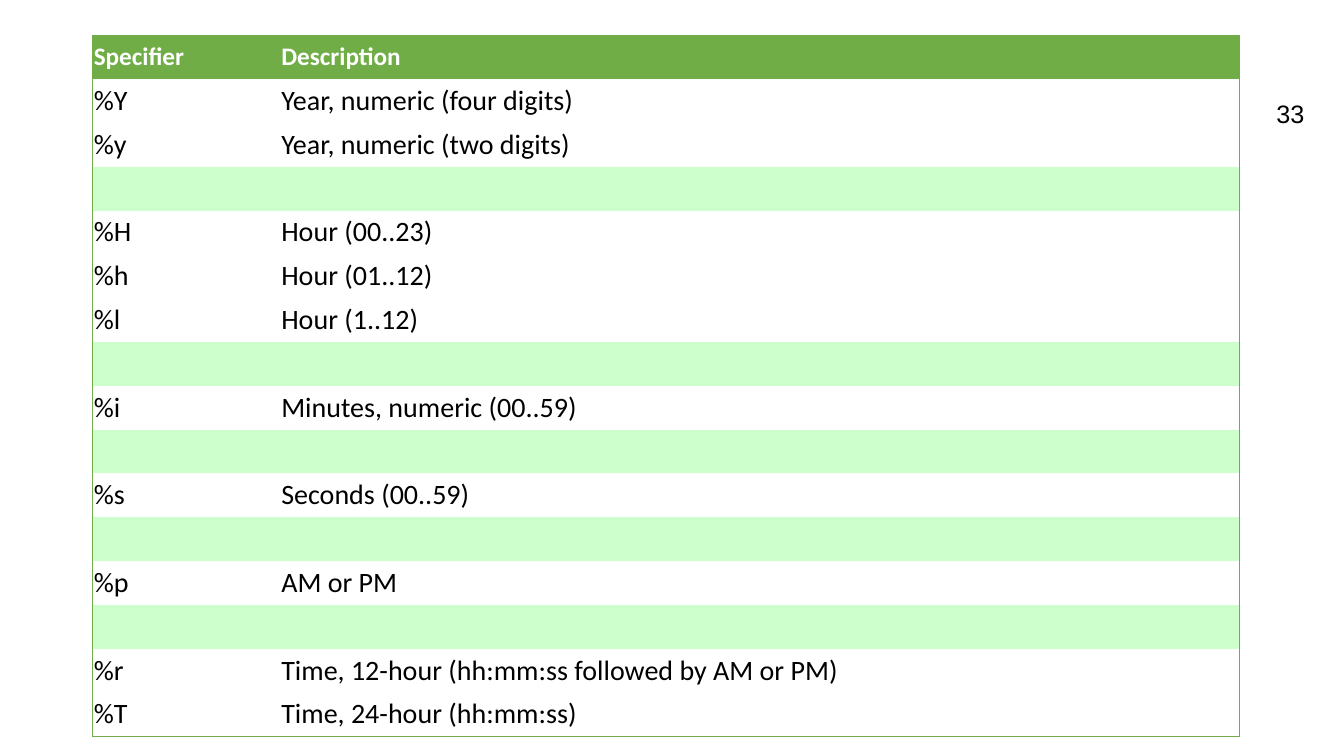
import pptx
import pptx.dml.color
import pptx.enum.text
import pptx.oxml
import pptx.oxml.ns
import pptx.util

EMU_PER_PX = 9144  # 100 px to the inch
BLACK = pptx.dml.color.RGBColor(0x00, 0x00, 0x00)
WHITE = pptx.dml.color.RGBColor(0xFF, 0xFF, 0xFF)
GREEN = pptx.dml.color.RGBColor(0x70, 0xAD, 0x47)
PALE_GREEN = pptx.dml.color.RGBColor(0xCC, 0xFF, 0xCC)

HEADER = ("Specifier", "Description")
# Each group is set apart from the next by a pale green row
GROUPS = [
    [("%Y", "Year, numeric (four digits)"),
     ("%y", "Year, numeric (two digits)")],
    [("%H", "Hour (00..23)"),
     ("%h", "Hour (01..12)"),
     ("%l", "Hour (1..12)")],
    [("%i", "Minutes, numeric (00..59)")],
    [("%s", "Seconds (00..59)")],
    [("%p", "AM or PM")],
    [("%r", "Time, 12-hour (hh:mm:ss followed by AM or PM)"),
     ("%T", "Time, 24-hour (hh:mm:ss)")],
]
SEPARATOR = ("", "")


def px(length):
    return pptx.util.Emu(length * EMU_PER_PX)


class SlideBuilder:
    table_font = "Calibri"
    number_font = "Arial"
    border_width = pptx.util.Pt(0.5)
    cell_inset = px(1)

    def __init__(self, slide):
        self.slide = slide

    def style(self, paragraph, name, size, color, bold=False):
        font = paragraph.font
        font.name, font.size, font.bold = name, pptx.util.Pt(size), bold
        font.color.rgb = color

    def page_number(self, text, left, top, width, height):
        number = self.slide.shapes.add_textbox(px(left), px(top), px(width), px(height))
        number.text_frame.word_wrap = True
        paragraph = number.text_frame.paragraphs[0]
        paragraph.text = text
        self.style(paragraph, self.number_font, 18, BLACK)

    def borders(self, cell, outer_sides):
        properties = cell._tc.get_or_add_tcPr()
        for side in "LRTB":
            paint = "<a:noFill/>"
            if side in outer_sides:
                paint = f'<a:solidFill><a:srgbClr val="{GREEN}"/></a:solidFill>'
            properties.append(pptx.oxml.parse_xml(
                f'<a:ln{side} {pptx.oxml.ns.nsdecls("a")} w="{self.border_width}">'
                f"{paint}</a:ln{side}>"))

    def cell(self, cell, text, size, color, fill, bold, outer_sides):
        cell.vertical_anchor = pptx.enum.text.MSO_ANCHOR.MIDDLE
        cell.margin_left = cell.margin_right = self.cell_inset
        cell.margin_top = cell.margin_bottom = self.cell_inset
        self.borders(cell, outer_sides)
        cell.fill.solid()
        cell.fill.fore_color.rgb = fill
        paragraph = cell.text_frame.paragraphs[0]
        paragraph.text = text
        paragraph.alignment = pptx.enum.text.PP_ALIGN.JUSTIFY
        self.style(paragraph, self.table_font, size, color, bold)

    def table(self, rows, left, top, column_widths, height):
        table = self.slide.shapes.add_table(
            len(rows), len(column_widths),
            px(left), px(top), px(sum(column_widths)), px(height)).table
        table.horz_banding = False
        for column, width in zip(table.columns, column_widths):
            column.width = px(width)
        for r, texts in enumerate(rows):
            table.rows[r].height = px(height) // len(rows)
            size, color, fill = 20, BLACK, WHITE
            if r == 0:
                size, color, fill = 18, WHITE, GREEN
            elif texts == SEPARATOR:
                fill = PALE_GREEN
            for c, text in enumerate(texts):
                outer_sides = (("L" if c == 0 else "")
                               + ("R" if c == len(texts) - 1 else "")
                               + ("T" if r == 0 else "")
                               + ("B" if r == len(rows) - 1 else ""))
                self.cell(table.cell(r, c), text, size, color, fill, r == 0, outer_sides)


def main():
    presentation = pptx.Presentation()
    presentation.slide_width, presentation.slide_height = px(1333), px(750)
    builder = SlideBuilder(presentation.slides.add_slide(presentation.slide_layouts[6]))

    # Slide number
    builder.page_number("33", 1256, 93, 52, 40)

    # Time format specifiers
    specifiers = [HEADER]
    for i, group in enumerate(GROUPS):
        specifiers += ([SEPARATOR] if i else []) + group
    builder.table(specifiers, 92, 35, (186, 951), 696)

    presentation.save("out.pptx")


if __name__ == "__main__":
    main()
